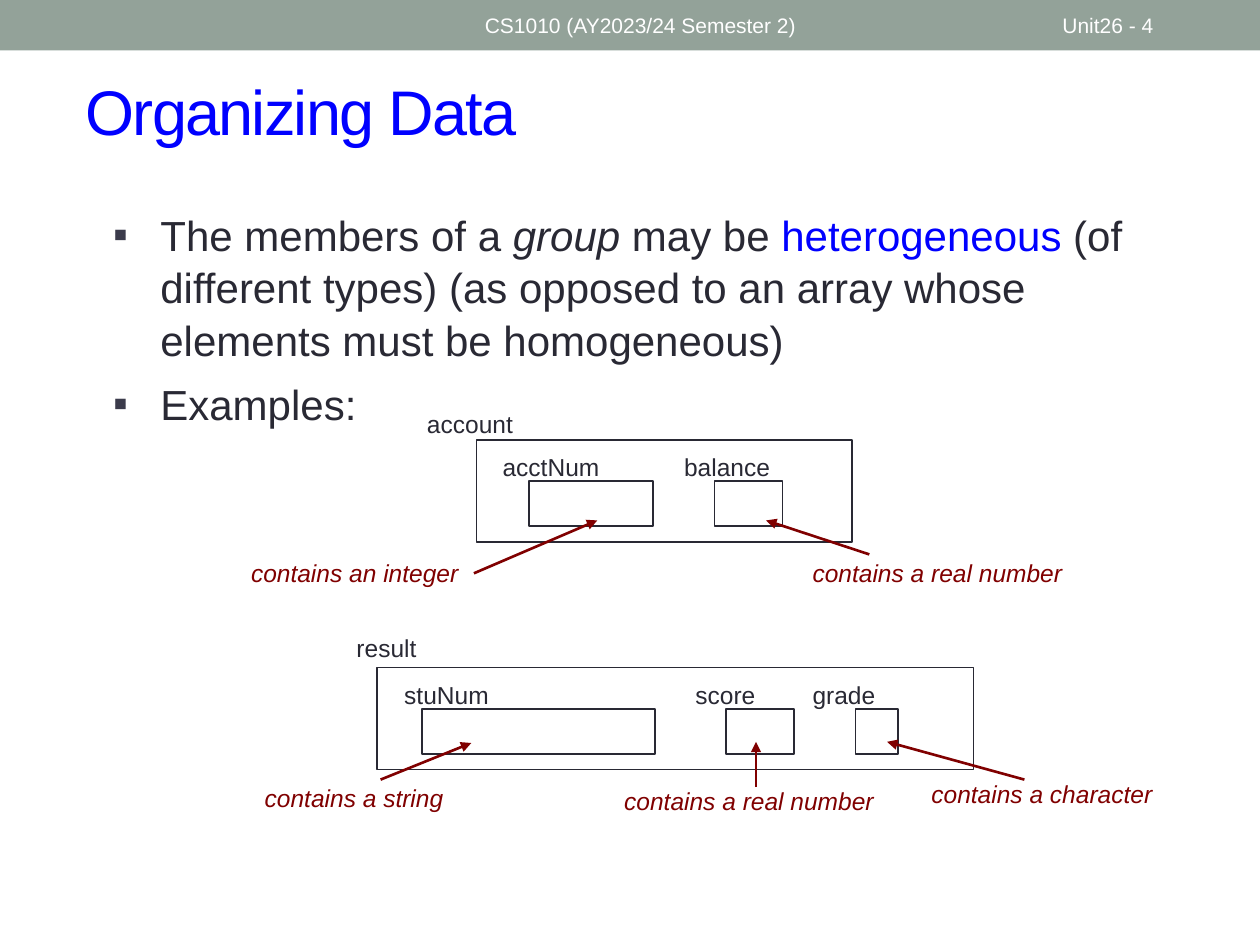
from lxml import etree
from pptx import Presentation
from pptx.dml.color import RGBColor
from pptx.enum import shapes, text
from pptx.oxml import ns
from pptx.util import Pt

SAGE = RGBColor(0x93, 0xA2, 0x99)
WHITE = RGBColor(0xFF, 0xFF, 0xFF)
BLUE = RGBColor(0x00, 0x00, 0xFF)
INK = RGBColor(0x29, 0x29, 0x34)
MAROON = RGBColor(0x80, 0x00, 0x00)
LABEL_H = 24.5
FIELD_H = 25.9

ACCOUNT = {
    "name": ("account", -35.3, -20.9),
    "fields": [("acctNum", 7.9, 30.2, 70.6), ("balance", 111.6, 136.1, 38.9)],
    "notes": [
        ("contains an integer", (-137.5, 64.1, 136.1), (-1.4, 76.3), (69.1, 46.1)),
        ("contains a real number", (175, 64.1, 177.1), (224.6, 65.5), (165.6, 46.1)),
    ],
}
RESULT = {
    "name": ("result", -18.7, -23),
    "fields": [("stuNum", 8.6, 25.9, 133.2), ("score", 175, 199.4, 38.9),
               ("grade", 241.9, 273.6, 24.5)],
    "notes": [
        ("contains a string", (-90.7, 62.6, 155.5), (2.2, 64.1), (54, 43.2)),
        ("contains a real number", (126, 64.1, 173.5), (216.7, 68.4), (216.7, 42.5)),
        ("contains a character", (306.7, 60.5, 146.9), (370.1, 64.1), (291.6, 42.5)),
    ],
}


def style(r, size, color, italic=False):
    r.font.name = "Arial"
    r.font.size = Pt(size)
    r.font.color.rgb = color
    r.font.italic = italic


def add_text(s, box, words, size, color, italic=False, align=None, anchor=None):
    sp = s.shapes.add_textbox(*map(Pt, box))
    tf = sp.text_frame
    tf.word_wrap = True
    tf.vertical_anchor = anchor
    tf.text = words
    p = tf.paragraphs[0]
    p.alignment = align
    r = p.runs[0]
    style(r, size, color, italic)
    return r


def add_rect(s, box, fill=None, line=None):
    sp = s.shapes.add_shape(shapes.MSO_SHAPE.RECTANGLE, *map(Pt, box))
    sp.shadow.inherit = False
    if fill is None:
        sp.fill.background()
    else:
        sp.fill.solid()
        sp.fill.fore_color.rgb = fill
    if line is None:
        sp.line.fill.background()
    else:
        sp.line.color.rgb = line
        sp.line.width = Pt(1)


def add_arrow(s, start, end):
    cn = s.shapes.add_connector(shapes.MSO_CONNECTOR.STRAIGHT, *map(Pt, start + end))
    cn.line.color.rgb = MAROON
    cn.line.width = Pt(1.5)
    etree.SubElement(cn.line._get_or_add_ln(), ns.qn("a:tailEnd"), type="triangle")
    etree.SubElement(cn._element.spPr, ns.qn("a:effectLst"))


def add_header(s, x, y, w, h):
    middle = text.MSO_ANCHOR.MIDDLE
    add_rect(s, (x, y, w, h), fill=SAGE)
    add_text(s, (x + 270, y + 1.4, 324, 26), "CS1010 (AY2023/24 Semester 2)",
             12, WHITE, anchor=middle)
    add_text(s, (x + 600, y + 1.4, 84, 26), "Unit26 - 4", 12, WHITE, anchor=middle)


def add_title(s, x, y, w, h):
    r = add_text(s, (x, y, w, h), "Organizing Data", 36, BLUE,
                 anchor=text.MSO_ANCHOR.MIDDLE)
    r.font._element.set("spc", "-100")


def add_bullets(s, x, y, w, h):
    tf = s.shapes.add_textbox(*map(Pt, (x, y, w, h))).text_frame
    tf.word_wrap = True
    points = [
        [("The members of a ", INK, False), ("group", INK, True),
         (" may be ", INK, False), ("heterogeneous ", BLUE, False),
         ("(of different types) (as opposed to an array whose elements "
          "must be homogeneous)", INK, False)],
        [("Examples:", INK, False)],
    ]
    for i, runs in enumerate(points):
        p = tf.add_paragraph() if i else tf.paragraphs[0]
        pPr = p._p.get_or_add_pPr()
        pPr.set("marL", str(Pt(27)))
        pPr.set("indent", str(-Pt(27)))
        color = etree.SubElement(pPr, ns.qn("a:buClr"))
        etree.SubElement(color, ns.qn("a:srgbClr"), val="3B3B4B")
        etree.SubElement(pPr, ns.qn("a:buFont"), typeface="Arial")
        etree.SubElement(pPr, ns.qn("a:buChar"), char="▪")
        p.line_spacing = 1.05
        if i:
            p.space_before = Pt(6)
        for words, ink, italic in runs:
            r = p.add_run()
            r.text = words
            style(r, 24, ink, italic)


def add_record(s, x, y, w, h, record):
    name, dx, dy = record["name"]
    add_text(s, (x + dx, y + dy, 90, LABEL_H), name, 14, INK)
    for label, label_x, field_x, field_w in record["fields"]:
        add_rect(s, (x + field_x, y + 23.6, field_w, FIELD_H), line=INK)
        add_text(s, (x + label_x, y + 3.4, 85, LABEL_H), label, 14, INK)
    add_rect(s, (x, y, w, h), line=INK)
    for words, (dx, dy, note_w), start, end in record["notes"]:
        add_arrow(s, (x + start[0], y + start[1]), (x + end[0], y + end[1]))
        add_text(s, (x + dx, y + dy, note_w, LABEL_H), words, 14, MAROON,
                 italic=True, align=text.PP_ALIGN.CENTER)


def main():
    prs = Presentation()
    prs.slide_width, prs.slide_height = Pt(720), Pt(540)
    s = prs.slides.add_slide(prs.slide_layouts[6])
    add_header(s, 0, 0, 720, 28.8)
    add_title(s, 41.8, 30.2, 660, 66.2)
    add_bullets(s, 57.6, 114.5, 617, 144)
    add_record(s, 272.2, 251.3, 214.6, 58.3, ACCOUNT)
    add_record(s, 215.3, 381.4, 341.1, 58.3, RESULT)
    prs.save("out.pptx")


if __name__ == "__main__":
    main()
